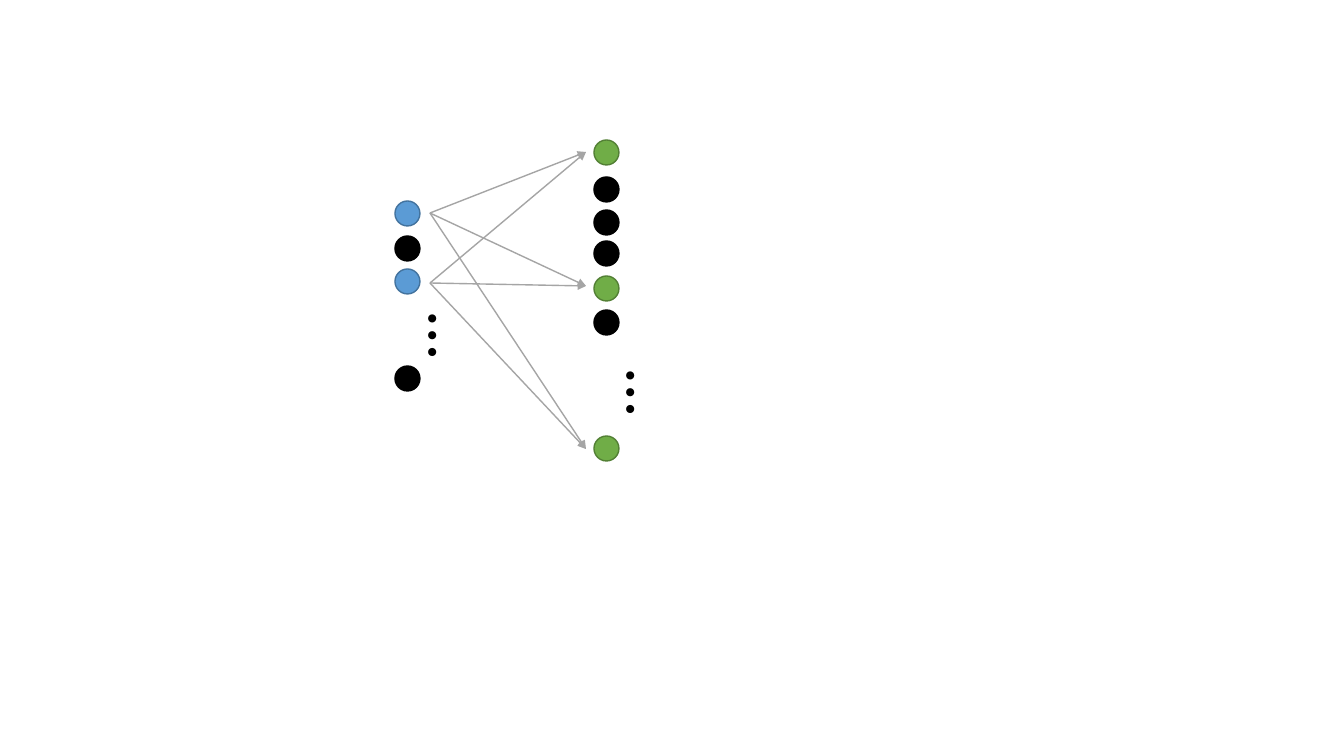
from itertools import product

from lxml.etree import SubElement
from pptx import Presentation
from pptx.dml.color import RGBColor
from pptx.enum.shapes import MSO_CONNECTOR as LINE, MSO_SHAPE as SHAPE
from pptx.enum.text import MSO_AUTO_SIZE as FIT
from pptx.oxml.ns import qn
from pptx.util import Emu, Pt

SCALE = 914400 / 100.8
FONT = "Noto Sans CJK KR"
SIZE = 25
BLUE, GREEN, BLACK = ("5B9BD5", "43739E"), ("70AD47", "538035"), ("000000", "000000")
GRAY = "A5A5A5"

# Top of each node and its fill and line colours
LEFT_X, RIGHT_X = 395, 594
INPUTS = [(201, BLUE), (236, BLACK), (269, BLUE), (366, BLACK)]
OUTPUTS = [(140, GREEN), (177, BLACK), (210, BLACK), (241, BLACK),
           (276, GREEN), (310, BLACK), (436, GREEN)]
STARTS = [(430, 213), (430, 283)]
ENDS = [(586, 152), (586, 286), (586, 449)]


def px(*nums):
    return [Emu(round(n * SCALE)) for n in nums]


def rgb(code):
    return RGBColor.from_string(code)


def add_text(slide, text, box, size=18, color="000000", bold=False, vert="horz"):
    frame = slide.shapes.add_textbox(*px(*box)).text_frame
    frame.word_wrap = False
    frame.auto_size = FIT.SHAPE_TO_FIT_TEXT
    frame._txBody.bodyPr.set("vert", vert)
    run = frame.paragraphs[0].add_run()
    run.text = text
    font = run.font
    font.name, font.size, font.bold = FONT, Pt(size), bold
    font.color.rgb = rgb(color)
    SubElement(run._r.get_or_add_rPr(), qn("a:ea")).set("typeface", FONT)


def add_arrow(slide, start, end):
    link = slide.shapes.add_connector(LINE.STRAIGHT, *px(*start, *end))
    link.line.color.rgb = rgb(GRAY)
    link.line.width = Pt(1)
    SubElement(link.line._get_or_add_ln(), qn("a:tailEnd")).set("type", "triangle")
    SubElement(link._element.spPr, qn("a:effectLst"))


def add_nodes(slide, left, nodes):
    for top, (fill, edge) in nodes:
        node = slide.shapes.add_shape(SHAPE.OVAL, *px(left, top, SIZE, SIZE))
        node.shadow.inherit = False
        node.fill.solid()
        node.fill.fore_color.rgb = rgb(fill)
        node.line.color.rgb = rgb(edge)
        node.line.width = Pt(1)


def main():
    deck = Presentation()
    deck.slide_width, deck.slide_height = px(1344, 756)
    slide = deck.slides.add_slide(deck.slide_layouts[6])
    for start, end in product(STARTS, ENDS):
        add_arrow(slide, start, end)
    add_nodes(slide, LEFT_X, INPUTS)
    add_nodes(slide, RIGHT_X, OUTPUTS)
    for left, top in [(387, 301), (585, 358)]:
        add_text(slide, "…", (left, top, 82, 55), size=36, bold=True, vert="eaVert")
    deck.save("out.pptx")


if __name__ == "__main__":
    main()
